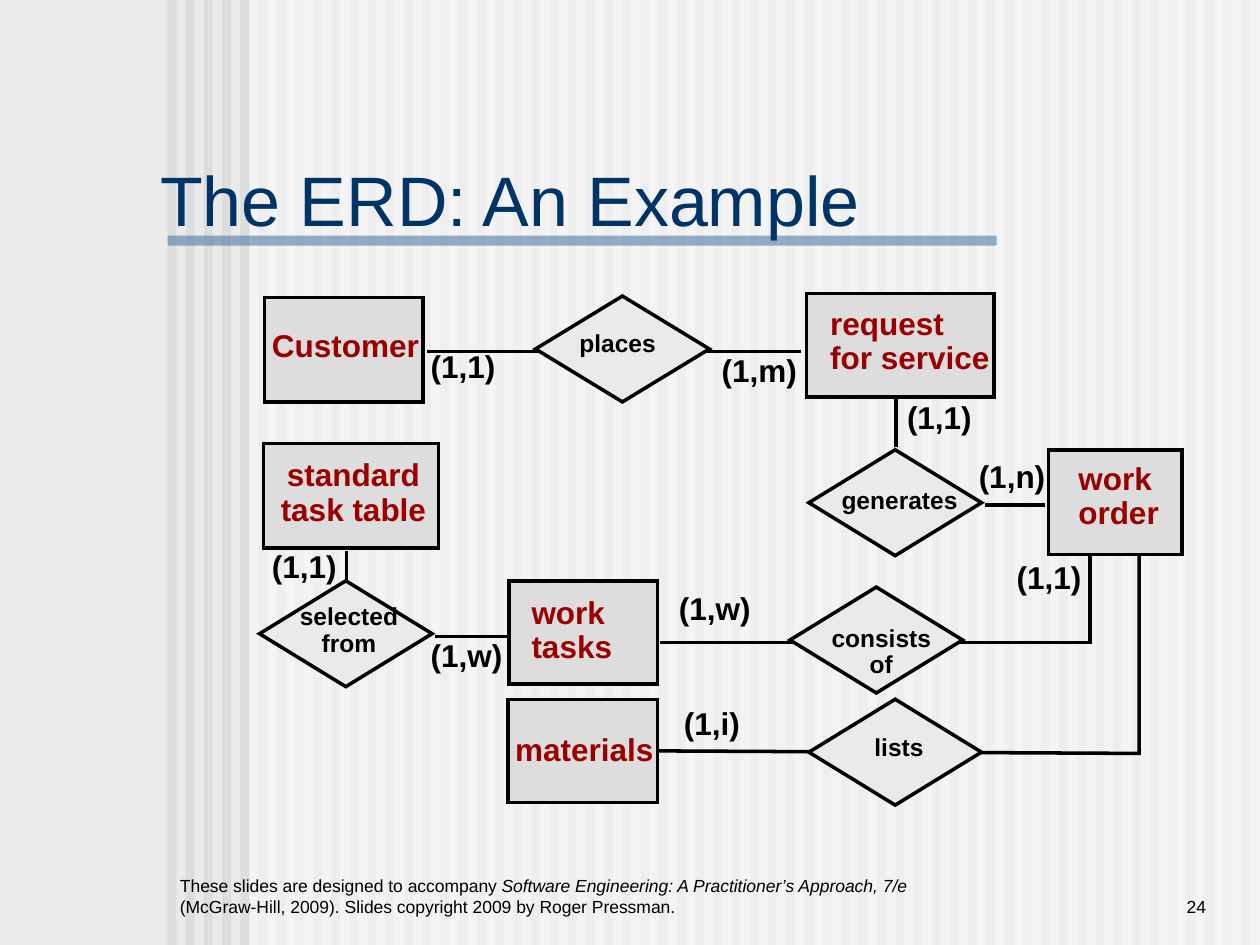
from typing import NamedTuple

from lxml.etree import SubElement
from pptx import Presentation
from pptx.dml.color import RGBColor
from pptx.enum.shapes import MSO_CONNECTOR as Link, MSO_SHAPE as Kind
from pptx.enum.text import MSO_ANCHOR as Anchor, MSO_AUTO_SIZE as Fit, PP_ALIGN as Align
from pptx.oxml.ns import qn
from pptx.util import Inches, Pt

INK, RED, GRAY, PALE = "000000", "9A0000", "DDDDDD", "EAEAEA"
SLACK = 0.04


class Node(NamedTuple):
    kind: Kind
    left: float
    top: float
    width: float
    height: float


class Label(NamedTuple):
    text: str
    left: float
    top: float
    width: float
    size: int = 18
    color: str = INK
    align: Align = Align.LEFT


class Wire(NamedTuple):
    x1: float
    y1: float
    x2: float
    y2: float


BOX, RHOMB = Kind.RECTANGLE, Kind.DIAMOND

NODES = [
    Node(BOX, 2.1, 2.36, 1.26, 0.83),
    Node(RHOMB, 4.25, 2.35, 1.38, 0.84),
    Node(BOX, 6.4, 2.33, 1.49, 0.82),
    Node(RHOMB, 6.42, 3.57, 1.37, 0.84),
    Node(BOX, 8.32, 3.57, 1.06, 0.83),
    Node(BOX, 4.04, 4.61, 1.18, 0.82),
    Node(BOX, 4.03, 5.55, 1.19, 0.82),
    Node(RHOMB, 6.27, 4.66, 1.37, 0.84),
    Node(RHOMB, 6.42, 5.55, 1.37, 0.84),
    Node(RHOMB, 2.06, 4.61, 1.37, 0.84),
    Node(BOX, 2.09, 3.52, 1.39, 0.83),
]

LABELS = [
    Label("Customer", 2.06, 2.57, 1.37, color=RED),
    Label("request\nfor service", 6.49, 2.4, 1.46, color=RED),
    Label("work\norder", 8.46, 3.63, 0.84, color=RED),
    Label("work\ntasks", 4.12, 4.69, 0.84, color=RED),
    Label("materials", 3.99, 5.78, 1.3, color=RED),
    Label("standard\ntask table", 2.13, 3.6, 1.35, color=RED, align=Align.CENTER),
    Label("places", 4.5, 2.58, 0.81, 14),
    Label("generates", 6.58, 3.83, 1.12, 14, align=Align.CENTER),
    Label("consists\nof", 6.5, 4.92, 0.99, 14, align=Align.CENTER),
    Label("lists", 6.84, 5.79, 0.59, 14, align=Align.CENTER),
    Label("selected\nfrom", 2.28, 4.75, 0.98, 14, align=Align.CENTER),
    Label("(1,1)", 3.32, 2.74, 0.71),
    Label("(1,m)", 5.63, 2.77, 0.8),
    Label("(1,n)", 7.67, 3.61, 0.73),
    Label("(1,1)", 7.1, 3.14, 0.71),
    Label("(1,1)", 7.97, 4.41, 0.71),
    Label("(1,w)", 5.29, 4.66, 0.77),
    Label("(1,i)", 5.33, 5.57, 0.64),
    Label("(1,w)", 3.32, 5.03, 0.77),
    Label("(1,1)", 2.06, 4.33, 0.71),
]

WIRES = [
    Wire(3.39, 2.79, 6.36, 2.79),
    Wire(7.11, 3.55, 7.11, 3.16),
    Wire(7.82, 4.01, 8.29, 4.01),
    Wire(2.75, 4.62, 2.75, 4.37),
    Wire(3.45, 5.05, 4.03, 5.05),
]

BENDS = [
    [(8.65, 4.41), (8.65, 5.1), (5.24, 5.1)],
    [(5.22, 5.96), (9.04, 5.98), (9.04, 4.41)],
]


def paint(target, color: str) -> None:
    target.rgb = RGBColor.from_string(color)


def outline(shape) -> None:
    paint(shape.line.color, INK)
    shape.line.width = Pt(2)
    SubElement(shape.element.spPr.find(qn("a:ln")), qn("a:miter"), lim="800000")


def style(run, size: int, color: str, bold: bool = False) -> None:
    run.font.name = "Arial"
    run.font.size = Pt(size)
    run.font.bold = bold
    paint(run.font.color, color)


def add_bar(shapes, left: float, top: float, width: float, height: float,
            color: str, alpha: int = 100) -> None:
    bar = shapes.add_shape(BOX, *map(Inches, (left, top, width, height)))
    bar.shadow.inherit = False
    bar.line.fill.background()
    bar.fill.solid()
    paint(bar.fill.fore_color, color)
    if alpha < 100:
        tint = bar.element.spPr.find(qn("a:solidFill"))[0]
        SubElement(tint, qn("a:alpha"), val=str(alpha * 1000))


def add_node(shapes, node: Node) -> None:
    shape = shapes.add_shape(node.kind, *map(Inches, node[1:]))
    shape.shadow.inherit = False
    shape.fill.solid()
    paint(shape.fill.fore_color, GRAY if node.kind == BOX else PALE)
    outline(shape)


def add_wire(shapes, wire: Wire) -> None:
    link = shapes.add_connector(Link.STRAIGHT, *map(Inches, wire))
    outline(link)
    SubElement(link.element.spPr, qn("a:effectLst"))


def add_bend(shapes, points: list[tuple[float, float]]) -> None:
    start, *rest = [(Inches(x), Inches(y)) for x, y in points]
    pen = shapes.build_freeform(*start)
    pen.add_line_segments(rest, close=False)
    bend = pen.convert_to_shape()
    bend.shadow.inherit = False
    bend.fill.background()
    outline(bend)


def add_label(shapes, label: Label) -> None:
    rows = label.text.count("\n") + 1
    left = label.left - (SLACK / 2 if label.align == Align.CENTER else 0)
    height = 0.1 + rows * label.size * 0.015
    box = shapes.add_textbox(*map(Inches, (left, label.top, label.width + SLACK, height)))
    frame = box.text_frame
    frame.word_wrap = False
    frame.auto_size = Fit.NONE
    frame.text = label.text
    for para in frame.paragraphs:
        para.alignment = label.align
        para.line_spacing = 0.9
        style(para.runs[0], label.size, label.color, True)


def add_foot(shapes, left: float, width: float, parts: list[str], align: Align) -> None:
    box = shapes.add_textbox(*map(Inches, (left, 6.83, width, 0.5)))
    frame = box.text_frame
    frame.word_wrap = True
    frame.vertical_anchor = Anchor.BOTTOM
    para = frame.paragraphs[0]
    para.alignment = align
    for i, part in enumerate(parts):
        run = para.add_run()
        run.text = part
        style(run, 10, INK)
        run.font.italic = i == 1


def set_title(shapes, text: str) -> None:
    title = shapes.title
    title.left, title.top, title.width, title.height = map(Inches, (1.17, 1.17, 7.83, 0.81))
    frame = title.text_frame
    frame.text = text
    frame.auto_size = Fit.NONE
    frame.vertical_anchor = Anchor.MIDDLE
    para = frame.paragraphs[0]
    para.alignment = Align.LEFT
    style(para.runs[0], 40, "003366")
    shapes.element.append(title.element)


def main() -> None:
    deck = Presentation()
    deck.slide_width, deck.slide_height = Inches(10), Inches(7.5)
    slide = deck.slides.add_slide(deck.slide_layouts[5])
    slide.background.fill.solid()
    paint(slide.background.fill.fore_color, PALE)
    shapes = slide.shapes
    for i in range(60):
        add_bar(shapes, 1.33 + i * 8.52 / 59, 0, 0.07, 7.5, GRAY)
    add_bar(shapes, 1.98, 0, 8.02, 7.5, "FFFFFF", 50)
    add_bar(shapes, 1.33, 1.87, 6.58, 0.08, "336699", 50)
    add_foot(shapes, 1.33, 6, [
        "These slides are designed to accompany ",
        "Software Engineering: A Practitioner’s Approach, 7/e ",
        "(McGraw-Hill, 2009). Slides copyright 2009 by Roger Pressman.",
    ], Align.LEFT)
    add_foot(shapes, 8.25, 1.42, ["24"], Align.RIGHT)
    set_title(shapes, "The ERD: An Example")
    for draw, items in ((add_bend, BENDS), (add_wire, WIRES),
                        (add_node, NODES), (add_label, LABELS)):
        for item in items:
            draw(shapes, item)
    deck.save("out.pptx")


if __name__ == "__main__":
    main()
